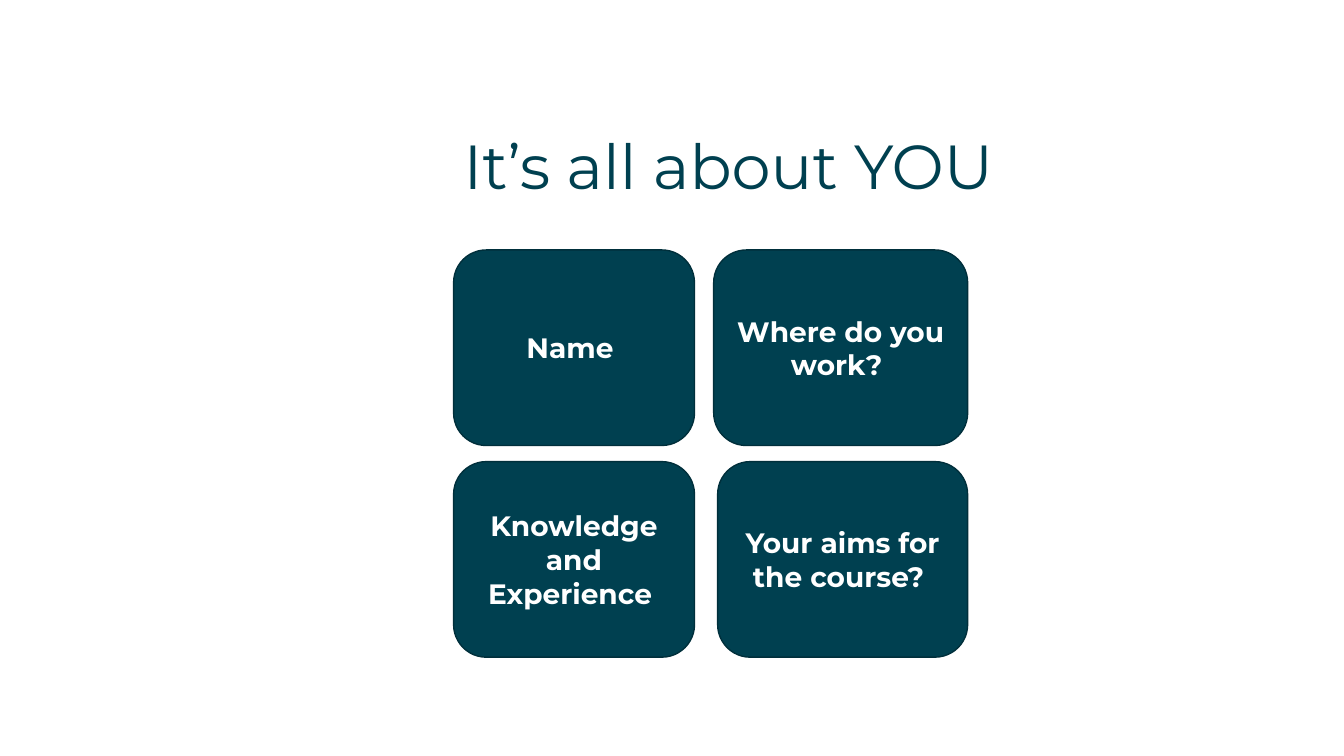
from pptx import Presentation
from pptx.dml.color import RGBColor
from pptx.enum.shapes import MSO_SHAPE
from pptx.enum.text import MSO_ANCHOR, MSO_AUTO_SIZE, PP_ALIGN
from pptx.util import Inches, Pt

COLORS = {"teal": "004050", "edge": "002F3B", "white": "FFFFFF"}
COLUMNS, ROWS = 40, 30

# Card grid, in columns and rows
LEFT, RIGHT = 13.5, 28.8
CARDS_TOP, CARD_HEIGHT, CARD_PITCH = 9.92, 7.76, 8.4
LEFT_WIDTH = 7.17
QUESTIONS = [
    ("Name ", "Where do you work? ", 7.56),
    ("Knowledge and Experience ", "Your aims for the course? ", 7.44),
]


def color(name):
    return RGBColor.from_string(COLORS[name])


def write(frame, text, *, size, ink, bold=False, align=PP_ALIGN.LEFT,
          anchor=MSO_ANCHOR.TOP, line_spacing=1.0):
    frame.word_wrap = True
    frame.auto_size = MSO_AUTO_SIZE.NONE
    frame.vertical_anchor = anchor
    paragraph = frame.paragraphs[0]
    paragraph.alignment = align
    paragraph.line_spacing = line_spacing
    paragraph.space_before = Pt(0)
    run = paragraph.add_run()
    run.text = text
    run.font.name = "Montserrat"
    run.font.size = Pt(size)
    run.font.bold = bold
    run.font.color.rgb = color(ink)


class IntroSlide:
    def __init__(self, deck):
        self.column = deck.slide_width / COLUMNS
        self.row = deck.slide_height / ROWS
        self.slide = deck.slides.add_slide(deck.slide_layouts[5])

    def area(self, left, top, width, height):
        """Turn columns and rows into slide lengths."""
        return (round(left * self.column), round(top * self.row),
                round(width * self.column), round(height * self.row))

    def title(self, text, *place):
        heading = self.slide.shapes.title
        heading.left, heading.top, heading.width, heading.height = self.area(*place)
        write(heading.text_frame, text, size=44.4, ink="teal", line_spacing=0.8)

    def card(self, text, *place):
        card = self.slide.shapes.add_shape(
            MSO_SHAPE.ROUNDED_RECTANGLE, *self.area(*place))
        card.shadow.inherit = False
        card.fill.solid()
        card.fill.fore_color.rgb = color("teal")
        card.line.color.rgb = color("edge")
        card.line.width = Pt(1)
        write(card.text_frame, text, size=20, ink="white", bold=True,
              align=PP_ALIGN.CENTER, anchor=MSO_ANCHOR.MIDDLE)


def main():
    deck = Presentation()
    deck.slide_width, deck.slide_height = Inches(13.33), Inches(7.5)

    intro = IntroSlide(deck)
    intro.title("It’s all about YOU", LEFT, 5.44, 24.2, 2.96)
    for index, (left_question, right_question, right_width) in enumerate(QUESTIONS):
        top = CARDS_TOP + index * CARD_PITCH
        intro.card(left_question, LEFT, top, LEFT_WIDTH, CARD_HEIGHT)
        intro.card(right_question, RIGHT - right_width, top, right_width, CARD_HEIGHT)

    deck.save("out.pptx")


if __name__ == "__main__":
    main()
